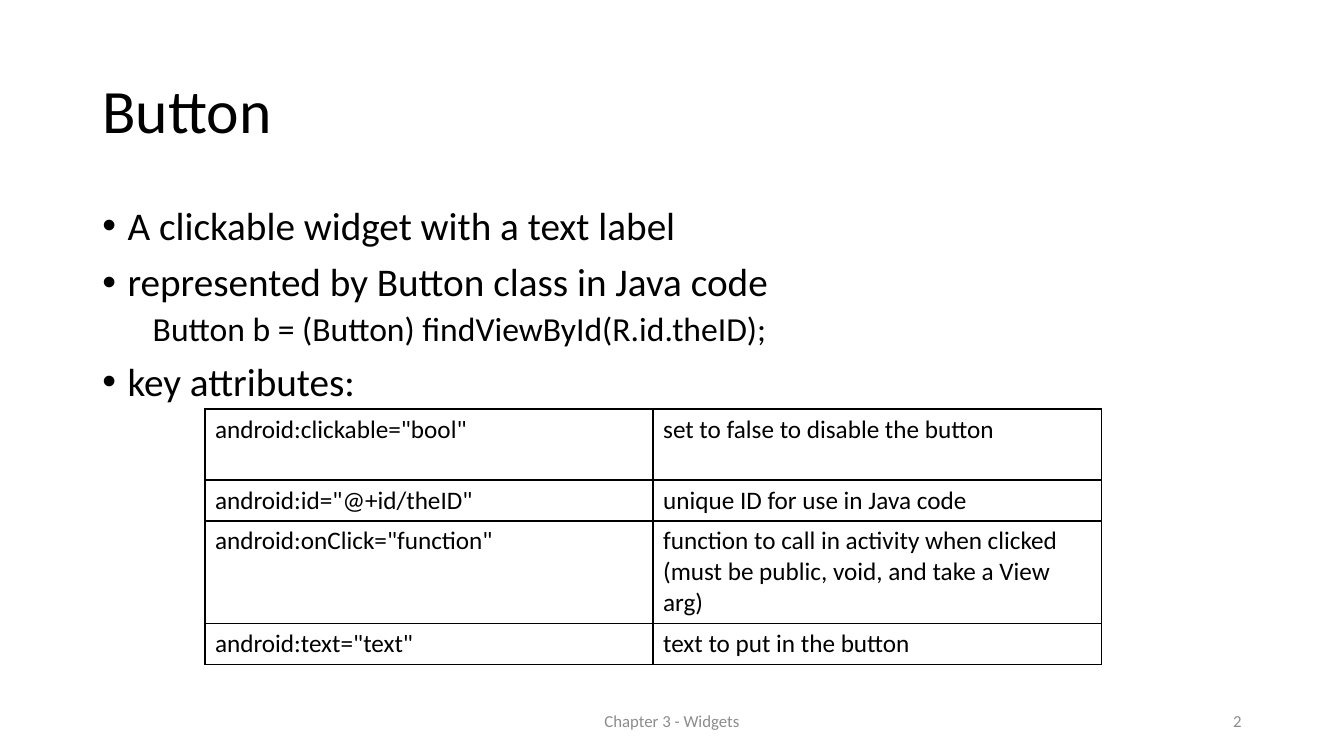
from dataclasses import dataclass

from lxml.etree import SubElement
from pptx import Presentation
from pptx.dml.color import RGBColor
from pptx.enum.text import MSO_ANCHOR, PP_ALIGN
from pptx.oxml.ns import qn
from pptx.slide import Slide
from pptx.table import _Cell
from pptx.text.text import _Paragraph
from pptx.util import Emu, Inches, Pt


@dataclass(frozen=True)
class Theme:
    font: str = "Calibri"
    ink: str = "000000"
    gray: str = "8C8C8C"
    title: int = 44
    body: int = 28
    code: int = 24
    cell: int = 18
    foot: int = 12
    rule: int = 1


@dataclass(frozen=True)
class Box:
    left: float
    top: float
    width: float
    height: float


@dataclass(frozen=True)
class Line:
    text: str
    size: int
    color: str
    align: PP_ALIGN = PP_ALIGN.LEFT
    space: float = 1
    before: int = 0
    indent: float = 0
    level: int = 0
    bullet: bool = False


@dataclass(frozen=True)
class Block:
    box: Box
    lines: tuple[Line, ...]
    anchor: MSO_ANCHOR = MSO_ANCHOR.MIDDLE


@dataclass(frozen=True)
class Row:
    name: str
    use: str
    height: float


THEME = Theme()
WIDTH, HEIGHT = Inches(13.33), Inches(7.5)
COLS, ROWS = 160, 90


def across(cols: float) -> Emu:
    return Emu(round(WIDTH * cols / COLS))


def down(rows: float) -> Emu:
    return Emu(round(HEIGHT * rows / ROWS))


def place(box: Box) -> tuple[Emu, Emu, Emu, Emu]:
    return across(box.left), down(box.top), across(box.width), down(box.height)


def point(text: str) -> Line:
    return Line(text, THEME.body, THEME.ink, space=0.9, before=10, indent=3, bullet=True)


def style(para: _Paragraph, line: Line) -> None:
    para.text = line.text
    para.alignment = line.align
    para.line_spacing = line.space
    para.space_before = Pt(line.before)
    para.level = line.level
    para.font.name = THEME.font
    para.font.size = Pt(line.size)
    para.font.color.rgb = RGBColor.from_string(line.color)
    props = para._p.get_or_add_pPr()
    props.set("marL", str(across(line.indent)))
    props.set("indent", str(-across(line.indent) if line.bullet else 0))
    if line.bullet:
        mark = {"a:buFont": ("typeface", "Arial"), "a:buChar": ("char", "•")}
        for tag, (key, value) in mark.items():
            props.insert_element_before(
                SubElement(props, qn(tag), {key: value}), "a:tabLst", "a:defRPr", "a:extLst")


def write(slide: Slide, block: Block) -> None:
    frame = slide.shapes.add_textbox(*place(block.box)).text_frame
    frame.word_wrap = True
    frame.vertical_anchor = block.anchor
    for index, line in enumerate(block.lines):
        style(frame.add_paragraph() if index else frame.paragraphs[0], line)


def border(cell: _Cell) -> None:
    props = cell._tc.get_or_add_tcPr()
    for side in ("L", "R", "T", "B"):
        edge = SubElement(props, qn(f"a:ln{side}"), w=str(Pt(THEME.rule)))
        SubElement(SubElement(edge, qn("a:solidFill")), qn("a:srgbClr"), val=THEME.ink)


def tabulate(slide: Slide, box: Box, rows: tuple[Row, ...]) -> None:
    table = slide.shapes.add_table(len(rows), 2, *place(box)).table
    table.first_row = table.horz_banding = False
    for index, row in enumerate(rows):
        table.rows[index].height = down(row.height)
        for cell, text in zip(table.rows[index].cells, (row.name, row.use)):
            border(cell)
            cell.fill.background()
            style(cell.text_frame.paragraphs[0], Line(text, THEME.cell, THEME.ink))


BLOCKS = (
    Block(Box(11, 4.8, 138, 17.4),
          (Line("Button", THEME.title, THEME.ink, space=0.9),)),
    Block(Box(11, 24, 138, 57.1), (
        point("A clickable widget with a text label"),
        point("represented by Button class in Java code"),
        Line("Button b = (Button) findViewById(R.id.theID);", THEME.code, THEME.ink,
             space=0.9, before=5, indent=6, level=1),
        point("key attributes:"),
    ), MSO_ANCHOR.TOP),
    Block(Box(53, 83.4, 54, 4.8),
          (Line("Chapter 3 - Widgets", THEME.foot, THEME.gray, PP_ALIGN.CENTER),)),
    Block(Box(113, 83.4, 36, 4.8),
          (Line("2", THEME.foot, THEME.gray, PP_ALIGN.RIGHT),)),
)

TRAITS = (
    Row('android:clickable="bool"', "set to false to disable the button", 8.45),
    Row('android:id="@+id/theID"', "unique ID for use in Java code", 4.87),
    Row('android:onClick="function"',
        "function to call in activity when clicked (must be public, void, and take a View arg)",
        12.25),
    Row('android:text="text"', "text to put in the button", 4.87),
)


def main() -> None:
    deck = Presentation()
    deck.slide_width, deck.slide_height = WIDTH, HEIGHT
    slide = deck.slides.add_slide(deck.slide_layouts[6])
    for block in BLOCKS:
        write(slide, block)
    tabulate(slide, Box(24.4, 48.7, 106.7, sum(row.height for row in TRAITS)), TRAITS)
    deck.save("out.pptx")


if __name__ == "__main__":
    main()
